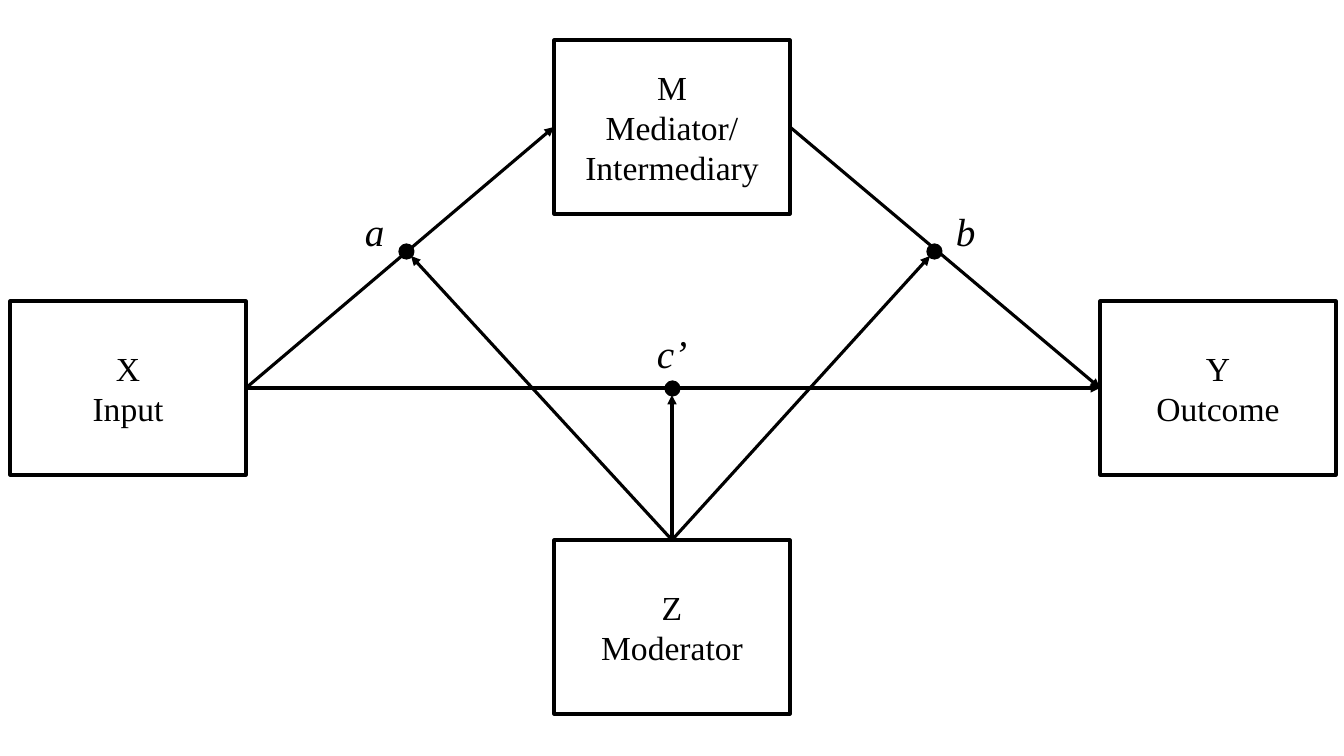
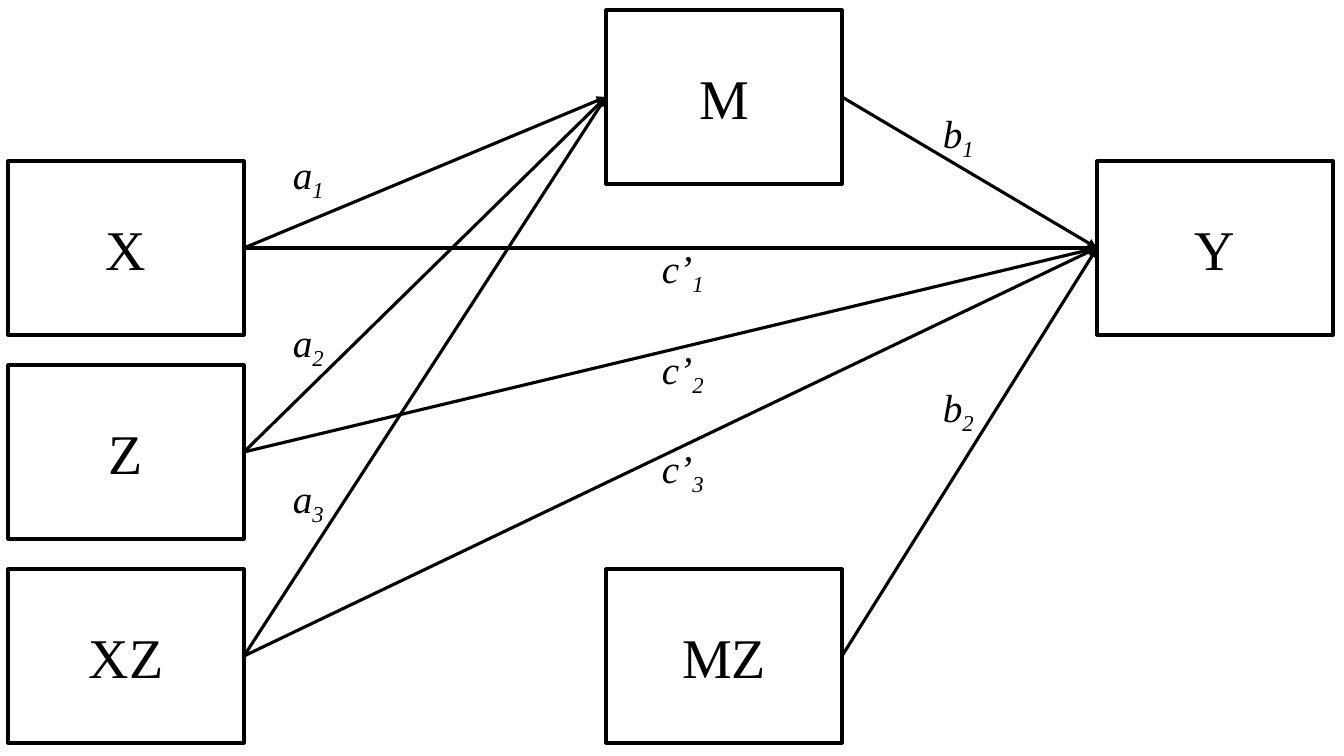
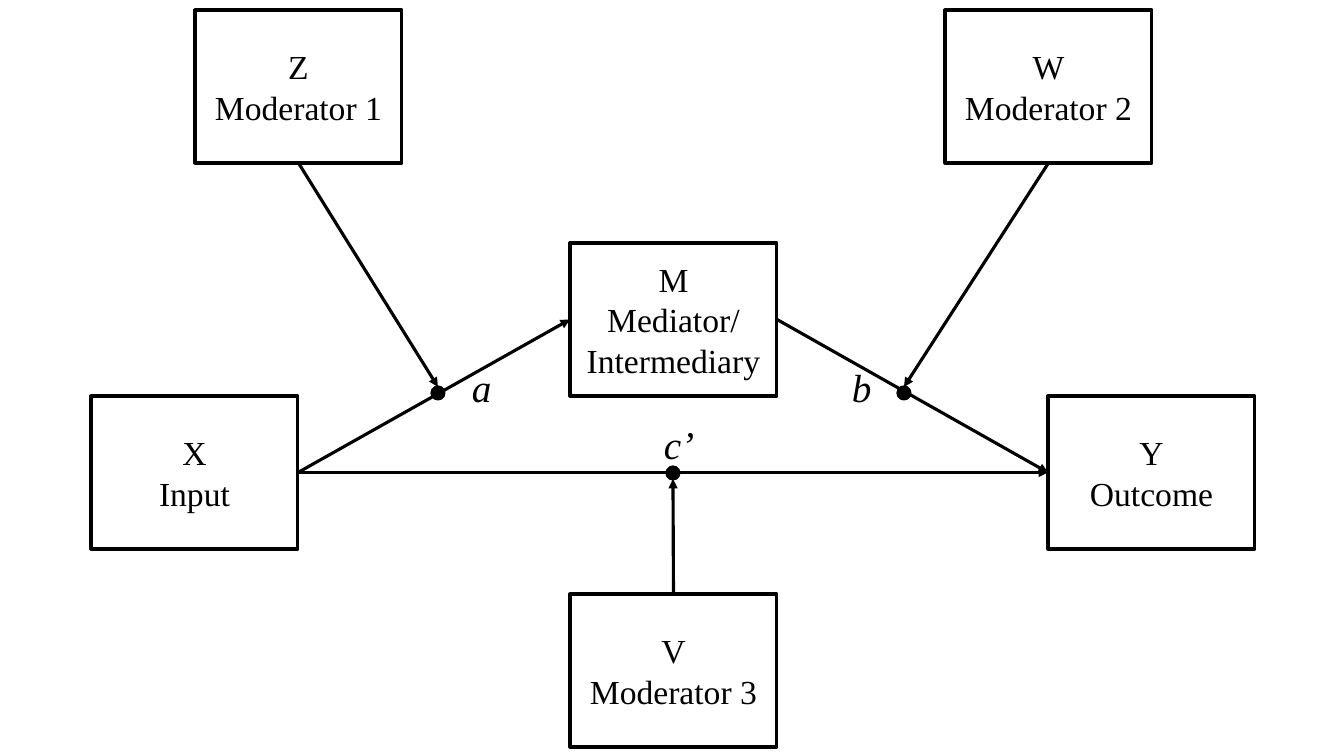
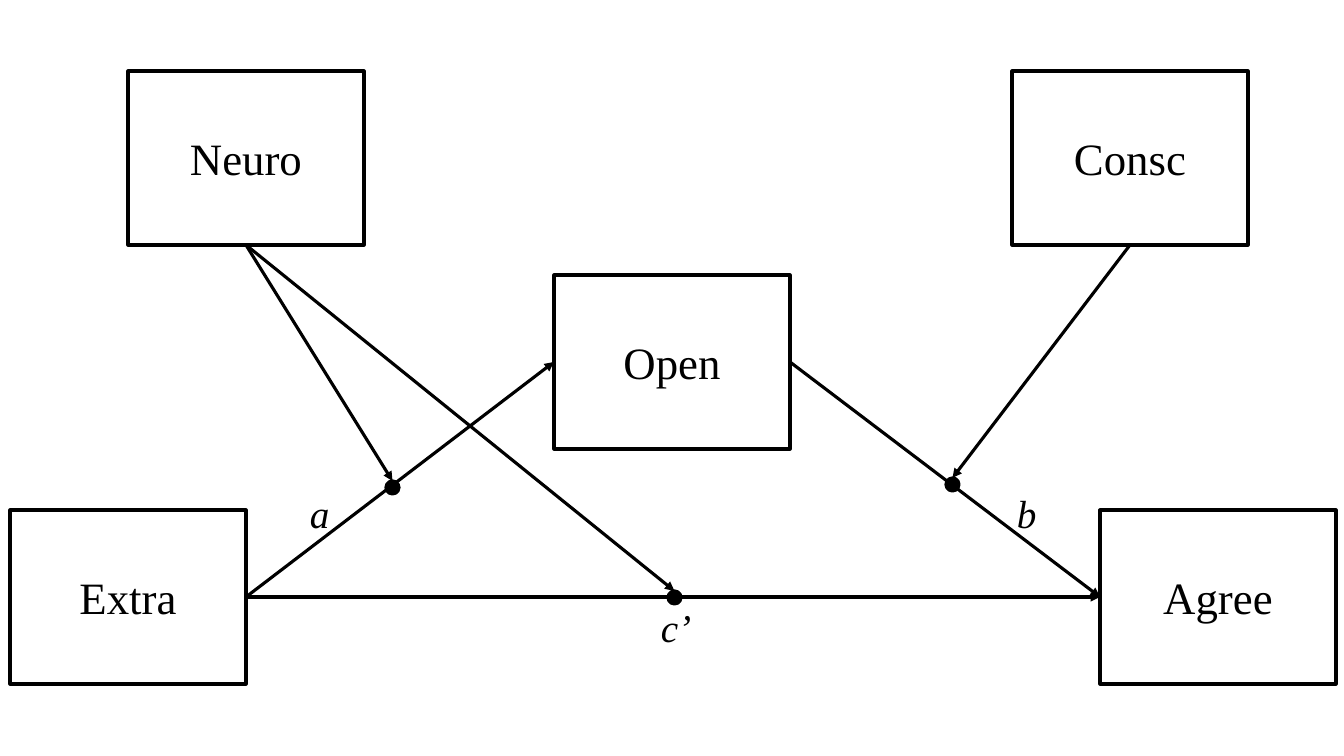
"""Build four path diagrams of moderated mediation models."""
from lxml import etree
from pptx import Presentation
from pptx import util as u
from pptx.dml.color import RGBColor
from pptx.enum import shapes, text
from pptx.oxml.ns import qn

SCALE = 914400 / 100.8
BLACK = RGBColor(0, 0, 0)
WHITE = RGBColor(255, 255, 255)
FONT = "Times New Roman"
LINE = u.Pt(2.25)
LABEL_SIZE = 28
LABEL_H = 57
TOP, LEFT, BOTTOM, RIGHT = range(4)


def emu(*pixels):
    return [u.Emu(round(n * SCALE)) for n in pixels]


def write(tf, lines, size, italic=False, align=None):
    """Fill a text frame; an underscore starts a subscript."""
    for i, line in enumerate(lines):
        p = tf.paragraphs[0] if i == 0 else tf.add_paragraph()
        p.alignment = align
        base, _, sub = line.partition("_")
        p.text = base
        if sub:
            r = p.add_run()
            r.text = sub
            r._r.get_or_add_rPr().set("baseline", "-25000")
        for r in p.runs:
            r.font.name = FONT
            r.font.size = u.Pt(size)
            r.font.italic = italic
            r.font.color.rgb = BLACK


class Diagram:
    """Draw boxes, arrows, dots and path labels on one slide."""

    def __init__(self, prs, box_size, font_size, dot_size=13):
        self.shapes = prs.slides.add_slide(prs.slide_layouts[6]).shapes
        self.box_size = box_size
        self.font_size = font_size
        self.dot_size = dot_size

    def outline(self, preset, x, y, w, h, fill):
        sp = self.shapes.add_shape(preset, *emu(x, y, w, h))
        sp.shadow.inherit = False
        sp.fill.solid()
        sp.fill.fore_color.rgb = fill
        sp.line.color.rgb = BLACK
        sp.line.width = LINE
        return sp

    def box(self, x, y, *lines):
        sp = self.outline(shapes.MSO_SHAPE.RECTANGLE, x, y, *self.box_size, WHITE)
        tf = sp.text_frame
        tf.word_wrap = True
        tf.vertical_anchor = text.MSO_ANCHOR.MIDDLE
        write(tf, lines, self.font_size, align=text.PP_ALIGN.CENTER)
        return sp

    def dot(self, x, y):
        return self.outline(shapes.MSO_SHAPE.OVAL, x, y, self.dot_size, self.dot_size, BLACK)

    def label(self, x, y, w, wording):
        tf = self.shapes.add_textbox(*emu(x, y, w, LABEL_H)).text_frame
        tf.word_wrap = True
        tf.auto_size = text.MSO_AUTO_SIZE.SHAPE_TO_FIT_TEXT
        write(tf, [wording], LABEL_SIZE, italic=True)

    def arrow(self, start, side, end, end_side=None):
        """Join a shape to another shape's side, or to a point."""
        point = end if end_side is None else (0, 0)
        c = self.shapes.add_connector(shapes.MSO_CONNECTOR.STRAIGHT, 0, 0, *emu(*point))
        c.begin_connect(start, side)
        if end_side is not None:
            c.end_connect(end, end_side)
        c.line.color.rgb = BLACK
        c.line.width = LINE
        etree.SubElement(c.line._get_or_add_ln(), qn("a:tailEnd"), type="triangle")
        etree.SubElement(c._element.spPr, qn("a:effectLst"))

    def mediation(self, x, m, y):
        """Draw the paths from input to mediator to outcome, and the direct one."""
        for start, end in ((x, m), (m, y), (x, y)):
            self.arrow(start, RIGHT, end, LEFT)


def single_moderator(prs):
    s = Diagram(prs, (236, 174), 24)
    m = s.box(554, 40, "M", "Mediator/\vIntermediary")
    y = s.box(1100, 301, "Y", "Outcome")
    x = s.box(10, 301, "X", "Input")
    z = s.box(554, 540, "Z", "Moderator")
    s.mediation(x, m, y)
    for end in ((411, 256), (672, 395), (930, 256)):
        s.arrow(z, TOP, end)
    for place in ((400, 245), (666, 382), (928, 245)):
        s.dot(*place)
    s.label(355, 202, 45, "a")
    s.label(946, 202, 45, "b")
    s.label(647, 324, 57, "c’")


def interaction_terms(prs):
    s = Diagram(prs, (236, 174), 40)
    rows = [161 + 204 * i for i in range(3)]
    m = s.box(606, 10, "M")
    mz = s.box(606, rows[2], "MZ")
    y = s.box(1097, rows[0], "Y")
    for row, name in zip(rows, ("X", "Z", "XZ")):
        source = s.box(8, row, name)
        s.arrow(source, RIGHT, m, LEFT)
        s.arrow(source, RIGHT, y, LEFT)
    for mediator in (m, mz):
        s.arrow(mediator, RIGHT, y, LEFT)
    for i, (a_top, c_top) in enumerate(((145, 239), (313, 340), (469, 439)), 1):
        s.label(283, a_top, 56, f"a_{i}")
        s.label(652, c_top, 71, f"c’_{i}")
    s.label(933, 104, 56, "b_1")
    s.label(933, 378, 56, "b_2")


def three_moderators(prs):
    s = Diagram(prs, (207, 153), 24, dot_size=12)
    m = s.box(570, 243, "M", "Mediator/\vIntermediary")
    y = s.box(1048, 396, "Y", "Outcome")
    x = s.box(91, 396, "X", "Input")
    z = s.box(195, 10, "Z", "Moderator 1")
    w = s.box(945, 10, "W", "Moderator 2")
    v = s.box(570, 594, "V", "Moderator 3")
    s.mediation(x, m, y)
    s.arrow(z, BOTTOM, s.dot(432, 387), TOP)
    s.arrow(w, BOTTOM, s.dot(898, 387), TOP)
    s.dot(667, 467)
    s.arrow(v, TOP, (673, 479))
    s.label(462, 358, 40, "a")
    s.label(842, 358, 40, "b")
    s.label(654, 415, 77, "c’")


def personality_model(prs):
    s = Diagram(prs, (236, 174), 32)
    mediator = s.box(554, 275, "Open")
    outcome = s.box(1100, 510, "Agree")
    source = s.box(10, 510, "Extra")
    neuro = s.box(128, 71, "Neuro")
    consc = s.box(1012, 71, "Consc")
    s.mediation(source, mediator, outcome)
    s.arrow(neuro, BOTTOM, s.dot(386, 481), TOP)
    s.arrow(neuro, BOTTOM, s.dot(668, 591), TOP)
    s.arrow(consc, BOTTOM, s.dot(946, 478), TOP)
    s.label(300, 484, 45, "a")
    s.label(1007, 484, 45, "b")
    s.label(651, 598, 57, "c’")


prs = Presentation()
prs.slide_width, prs.slide_height = emu(1344, 756)
for build in (single_moderator, interaction_terms, three_moderators, personality_model):
    build(prs)
prs.save("out.pptx")
